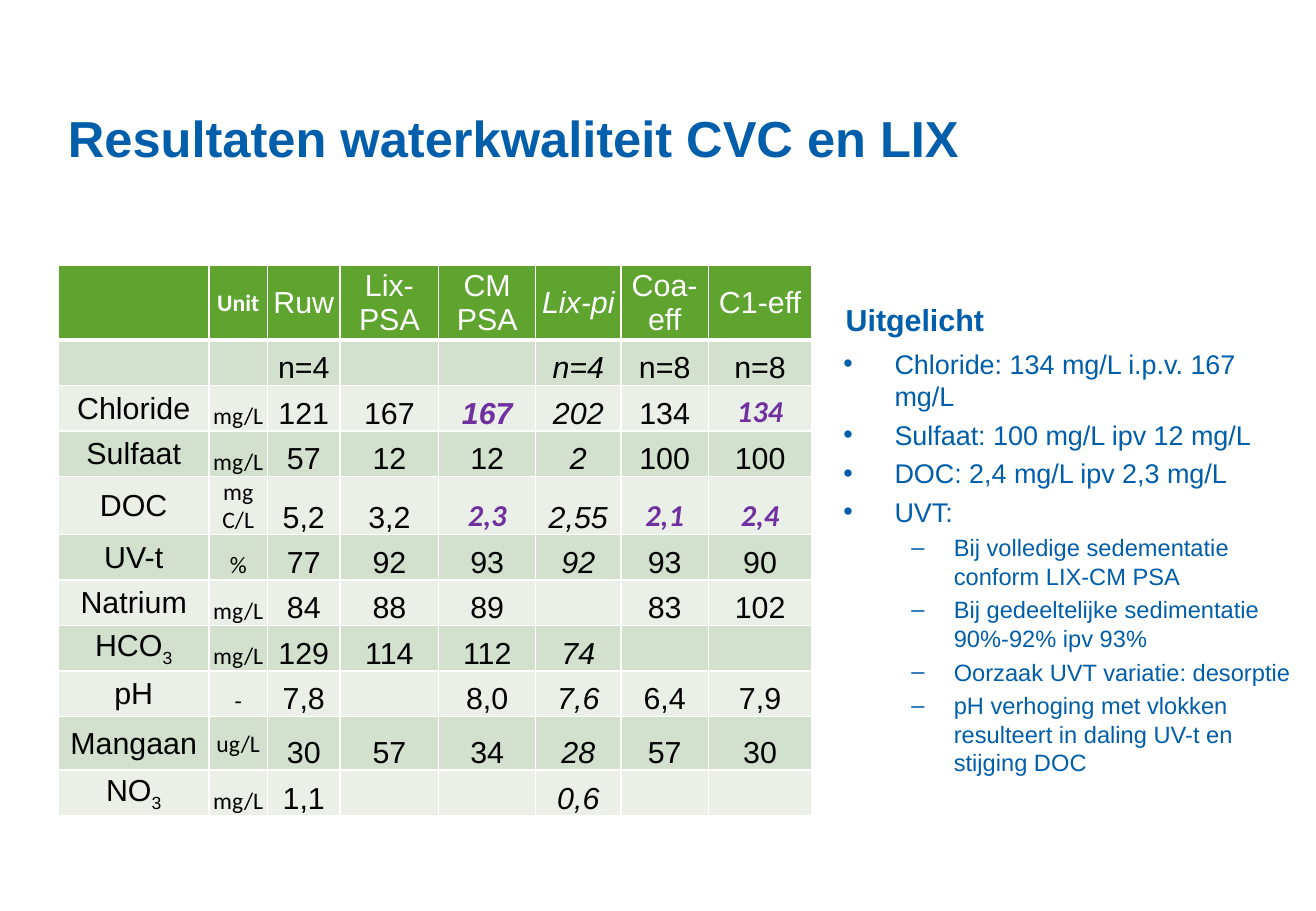
import dataclasses
import typing

import lxml.etree
import pptx
import pptx.dml.color
import pptx.enum.text
import pptx.oxml.ns
import pptx.util

Cm = pptx.util.Cm
Pt = pptx.util.Pt
Anchor = pptx.enum.text.MSO_ANCHOR
Align = pptx.enum.text.PP_ALIGN
qn = pptx.oxml.ns.qn

COLORS = {
    "blue": "005EAA",
    "green": "5EA42F",
    "dark_band": "D2E0CD",
    "light_band": "EAF0E8",
    "purple": "7030A0",
    "white": "FFFFFF",
    "black": "000000",
}
COLUMN_WIDTHS = [3.15, 1.22, 1.52, 2.06, 2.03, 1.78, 1.83, 2.16]
HEADERS = ["", "Unit", "Ruw", "Lix-PSA", "CM PSA", "Lix-pi", "Coa-eff", "C1-eff"]
HEADER_HEIGHT = 1.57
UNIT_COLUMN = 1
ITALIC_COLUMN = 5


@dataclasses.dataclass
class Measurement:
    label: str
    unit: str
    values: list[str]
    highlights: dict[int, str] = dataclasses.field(default_factory=dict)
    subscript: str = ""
    height: float = 0.95
    unit_anchor: Anchor = Anchor.BOTTOM


class Level(typing.NamedTuple):
    bullet: str
    size: float
    left: float
    hanging: float
    space_before: float


class Point(typing.NamedTuple):
    text: str
    level: int = 0


MEASUREMENTS = [
    Measurement("", "", ["n=4", "", "", "n=4", "n=8", "n=8"]),
    Measurement("Chloride", "mg/L", ["121", "167", "167", "202", "134", "134"],
                highlights={4: "Arial", 7: "Calibri"}),
    Measurement("Sulfaat", "mg/L", ["57", "12", "12", "2", "100", "100"]),
    Measurement("DOC", "mg C/L", ["5,2", "3,2", "2,3", "2,55", "2,1", "2,4"],
                highlights={4: "Calibri", 6: "Calibri", 7: "Calibri"}),
    Measurement("UV-t", "%", ["77", "92", "93", "92", "93", "90"]),
    Measurement("Natrium", "mg/L", ["84", "88", "89", "", "83", "102"]),
    Measurement("HCO", "mg/L", ["129", "114", "112", "74", "", ""], subscript="3"),
    Measurement("pH", "-", ["7,8", "", "8,0", "7,6", "6,4", "7,9"]),
    Measurement("Mangaan", "ug/L", ["30", "57", "34", "28", "57", "30"],
                height=1.13, unit_anchor=Anchor.MIDDLE),
    Measurement("NO", "mg/L", ["1,1", "", "", "0,6", "", ""], subscript="3"),
]
LEVELS = [Level("•", 16, 1.07, 1.07, 3.7), Level("–", 14, 2.31, 0.89, 3.2)]
POINTS = [
    Point("Chloride: 134 mg/L i.p.v. 167 mg/L"),
    Point("Sulfaat: 100 mg/L ipv 12 mg/L"),
    Point("DOC: 2,4 mg/L ipv 2,3 mg/L"),
    Point("UVT:"),
    Point("Bij volledige sedementatie conform LIX-CM PSA", 1),
    Point("Bij gedeeltelijke sedimentatie 90%-92% ipv 93%", 1),
    Point("Oorzaak UVT variatie: desorptie", 1),
    Point("pH verhoging met vlokken resulteert in daling UV-t en stijging DOC", 1),
]


def write_text(paragraph, text: str, *, size: float = 18, font: str = "Arial",
               color: str = "black", bold: bool = False, italic: bool = False,
               align: Align = Align.LEFT, subscript: str = "") -> None:
    paragraph.alignment = align
    paragraph.font.size = Pt(size)
    for part in filter(None, (text, subscript)):
        run = paragraph.add_run()
        run.text = part
        run.font.size = Pt(size)
        run.font.name = font
        run.font.bold = bold
        run.font.italic = italic
        run.font.color.rgb = pptx.dml.color.RGBColor.from_string(COLORS[color])
    if subscript:
        run._r.get_or_add_rPr().set("baseline", "-25000")


def add_text_frame(slide, left: float, top: float, width: float, height: float,
                   anchor: Anchor):
    frame = slide.shapes.add_textbox(Cm(left), Cm(top), Cm(width), Cm(height)).text_frame
    frame.word_wrap = True
    frame.vertical_anchor = anchor
    frame.margin_left = frame.margin_right = Cm(0.28)
    frame.margin_top = frame.margin_bottom = Cm(0.15)
    return frame


def set_bullet(paragraph, level: Level) -> None:
    properties = paragraph._p.get_or_add_pPr()
    properties.set("marL", str(Cm(level.left)))
    properties.set("indent", str(-Cm(level.hanging)))
    lxml.etree.SubElement(properties, qn("a:buFont"), typeface="Arial")
    lxml.etree.SubElement(properties, qn("a:buChar"), char=level.bullet)


def set_borders(cell, bottom: float) -> None:
    properties = cell._tc.get_or_add_tcPr()
    for side, width in {"L": 1, "R": 1, "T": 1, "B": bottom}.items():
        line = lxml.etree.SubElement(properties, qn(f"a:ln{side}"), w=str(Pt(width)))
        fill = lxml.etree.SubElement(line, qn("a:solidFill"))
        lxml.etree.SubElement(fill, qn("a:srgbClr"), val=COLORS["white"])


def fill_cell(cell, text: str, fill: str, anchor: Anchor, bottom: float = 1,
              **text_format) -> None:
    set_borders(cell, bottom)
    cell.fill.solid()
    cell.fill.fore_color.rgb = pptx.dml.color.RGBColor.from_string(COLORS[fill])
    cell.vertical_anchor = anchor
    cell.margin_left = cell.margin_right = cell.margin_top = Cm(0.03)
    cell.margin_bottom = 0
    write_text(cell.text_frame.paragraphs[0], text, align=Align.CENTER, **text_format)


def add_results_table(slide) -> None:
    heights = [HEADER_HEIGHT] + [measurement.height for measurement in MEASUREMENTS]
    table = slide.shapes.add_table(
        len(heights), len(COLUMN_WIDTHS), Cm(1.22), Cm(5.54),
        Cm(sum(COLUMN_WIDTHS)), Cm(sum(heights))).table
    for column, width in zip(table.columns, COLUMN_WIDTHS):
        column.width = Cm(width)
    for row, height in zip(table.rows, heights):
        row.height = Cm(height)

    for index, header in enumerate(HEADERS):
        is_unit = index == UNIT_COLUMN
        fill_cell(table.cell(0, index), header, "green", Anchor.MIDDLE, bottom=3,
                  color="white", size=14 if is_unit else 18,
                  font="Calibri" if is_unit else "Arial",
                  bold=is_unit, italic=index == ITALIC_COLUMN)

    for row_index, measurement in enumerate(MEASUREMENTS, start=1):
        band = "dark_band" if row_index % 2 else "light_band"
        fill_cell(table.cell(row_index, 0), measurement.label, band, Anchor.MIDDLE,
                  subscript=measurement.subscript)
        fill_cell(table.cell(row_index, UNIT_COLUMN), measurement.unit, band,
                  measurement.unit_anchor, size=14, font="Calibri")
        for index, value in enumerate(measurement.values, start=2):
            marked = index in measurement.highlights
            fill_cell(table.cell(row_index, index), value, band, Anchor.BOTTOM,
                      font=measurement.highlights.get(index, "Arial"),
                      color="purple" if marked else "black",
                      bold=marked, italic=marked or index == ITALIC_COLUMN)


def add_highlights(slide) -> None:
    heading = add_text_frame(slide, 17.4, 5.21, 10.1, 2.01, Anchor.BOTTOM)
    write_text(heading.paragraphs[0], "Uitgelicht", color="blue", bold=True)
    frame = add_text_frame(slide, 17.35, 7.11, 10.16, 9.88, Anchor.TOP)
    for index, point in enumerate(POINTS):
        level = LEVELS[point.level]
        paragraph = frame.add_paragraph() if index else frame.paragraphs[0]
        set_bullet(paragraph, level)
        paragraph.level = point.level
        if index:
            paragraph.space_before = Pt(level.space_before)
        write_text(paragraph, point.text, size=level.size, color="blue")


def main() -> None:
    presentation = pptx.Presentation()
    presentation.slide_width = Cm(27.51)
    presentation.slide_height = Cm(19.05)
    slide = presentation.slides.add_slide(presentation.slide_layouts[6])
    title = add_text_frame(slide, 1.14, 0.48, 24.77, 3.18, Anchor.BOTTOM)
    write_text(title.paragraphs[0], "Resultaten waterkwaliteit CVC en LIX",
               size=30, color="blue", bold=True)
    add_highlights(slide)
    add_results_table(slide)
    presentation.save("out.pptx")


if __name__ == "__main__":
    main()
